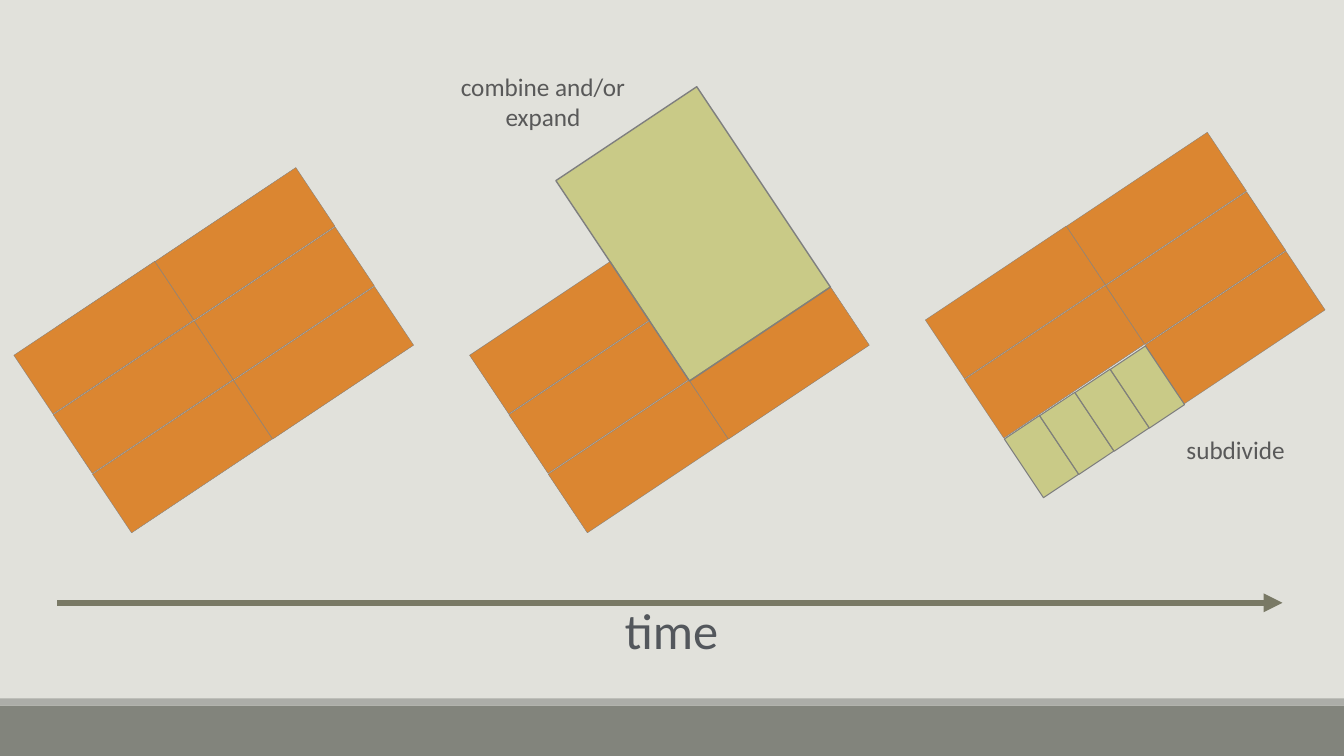
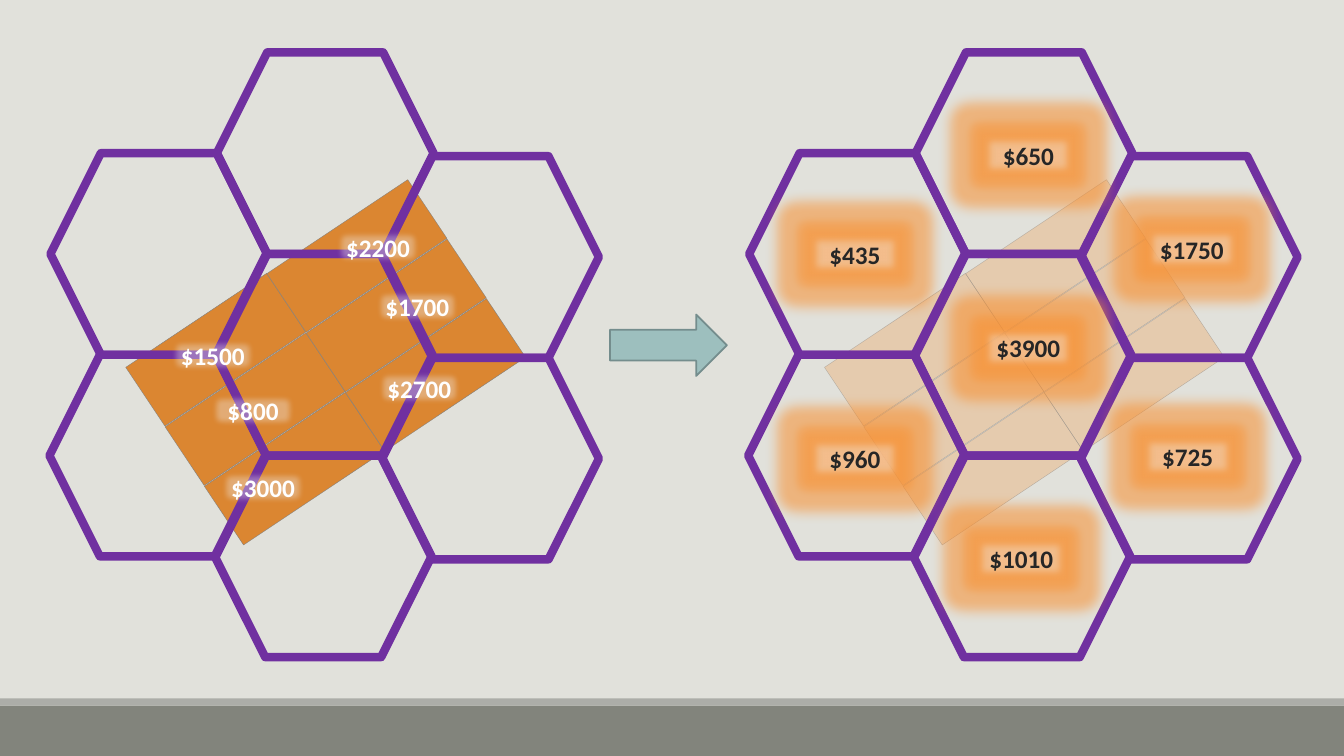
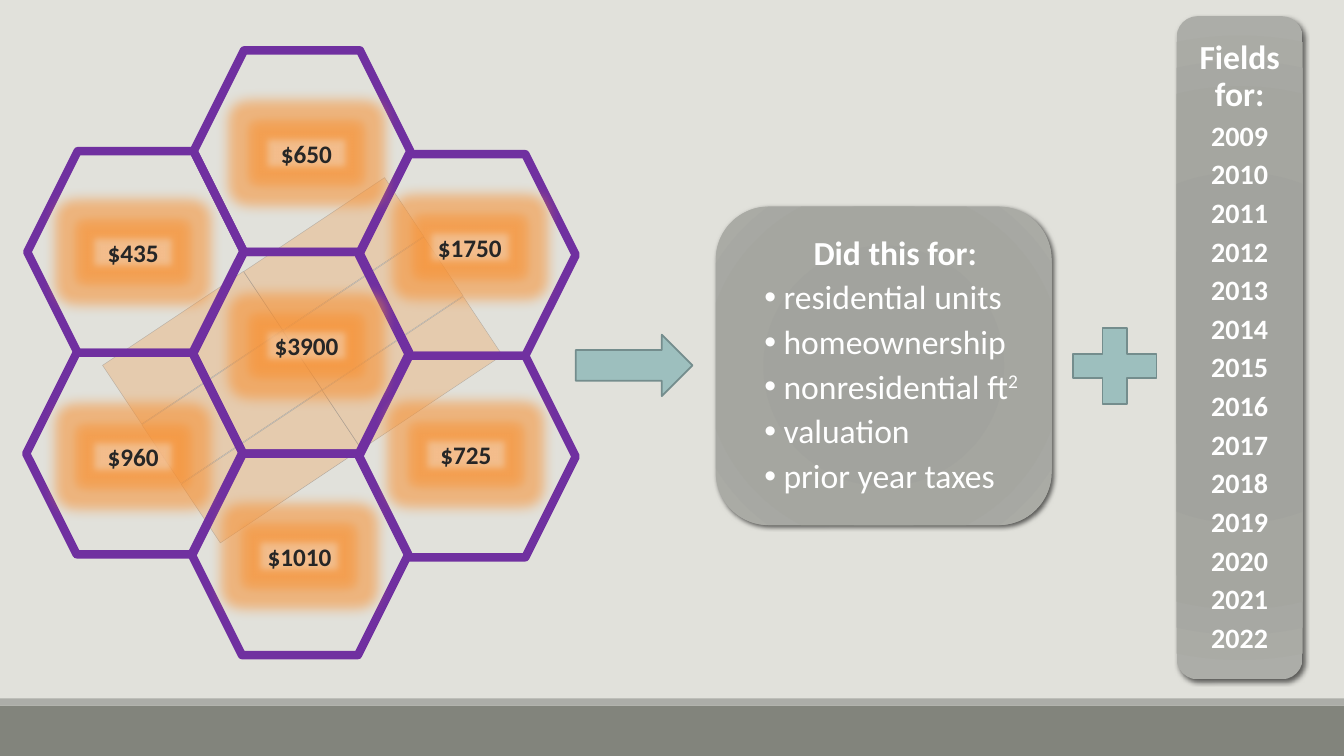
import pptx
import pptx.util
import pptx.dml.color
import pptx.enum.shapes
import pptx.enum.text
import pptx.oxml
import pptx.oxml.ns

Inches, Pt = pptx.util.Inches, pptx.util.Pt
SHAPE = pptx.enum.shapes.MSO_SHAPE
ALIGN = pptx.enum.text.PP_ALIGN
MIDDLE = pptx.enum.text.MSO_ANCHOR.MIDDLE
qn = pptx.oxml.ns.qn

FONT = "Calibri"
COLORS = {
    "background": "E1E1DB", "band": "82847C", "stripe": "ACADA8",
    "parcel": "DB8631", "parcel_line": "808080", "pale": "E9B683",
    "green": "B3B435", "edge": "7F7F7F", "hexagon": "7030A0",
    "label": "F2F2F2", "glow": "F99030", "teal": "9DBFBE", "teal_line": "748D8D",
    "axis": "797965", "time": "53575C", "caption": "595959",
    "white": "FFFFFF", "dark": "262626",
}

# Parcels: two columns (0 left, 1 right) of three rows, all turned alike
TURN = 56.3
PARCEL_W, PARCEL_H = 0.7, 1.68
ROW_STEP = (0.39, 0.59)
COLUMN_STEP = (1.4, -0.93)
ALL_PARCELS = [(col, row) for col in range(2) for row in range(3)]
TIMELINE = [
    ((0.68, 2.51), []),
    ((5.2, 2.51), [(1, 0), (1, 1)]),
    ((9.72, 2.16), [(0, 2)]),
]
MERGED_LOT = (5.68, 1.48, 2.39, PARCEL_H)
SMALL_LOT, LOT_STEP, LOT_COUNT = (9.98, 4.32, PARCEL_W, 0.42), (0.35, -0.23), 4
CAPTIONS = [
    ((5.7, 5.89, 1.92, 0.71), ["time"], 36, "time"),
    ((4.43, 0.66, 1.91, 0.71), ["combine and/or", "expand"], 18, "caption"),
    ((11.66, 4.26, 1.19, 0.4), ["subdivide"], 18, "caption"),
]

# Offsets from the top left corner of a honeycomb
HEXAGONS = [(0.01, 1), (1.65, 2), (1.64, 4), (3.3, 1.03), (3.3, 3.03), (1.66, 0), (0, 3)]
PARCELS_OFFSET = (1.3, 2.11)
PARCEL_VALUES = [
    ("$2700", 3.22, 3.13), ("$800", 1.57, 3.35), ("$1500", 1.17, 2.81),
    ("$3000", 1.67, 4.12), ("$2200", 2.81, 1.73), ("$1700", 3.2, 2.32),
]
HEXAGON_VALUES = [
    ("$1010", 2.26, 4.82), ("$960", 0.61, 3.83), ("$1750", 3.95, 1.75),
    ("$725", 3.91, 3.81), ("$3900", 2.33, 2.73), ("$435", 0.61, 1.8),
    ("$650", 2.33, 0.82),
]

MEASURES = [
    [("residential units", False)], [("homeownership", False)],
    [("nonresidential ft", False), ("2", True)],
    [("valuation", False)], [("prior year taxes", False)],
]
YEARS = range(2009, 2023)
PANEL_STOPS = [(0, "A1A29C"), (34, "A2A39E"), (70, "A5A6A0"), (100, "ACADA8")]


def rgb(name):
    return pptx.dml.color.RGBColor.from_string(COLORS[name])


def xml(text):
    """Parse one DrawingML element written without its namespace declaration."""
    head, sep, rest = text.partition(">")
    slash = "/" if head.endswith("/") else ""
    return pptx.oxml.parse_xml(f"{head.rstrip('/')} {pptx.oxml.ns.nsdecls('a')}{slash}{sep}{rest}")


def fade(holder, percent):
    """Set the opacity of the solid fill held by a shape's or line's properties."""
    color = holder.find(qn("a:solidFill")).find(qn("a:srgbClr"))
    color.append(xml(f'<a:alpha val="{percent * 1000}"/>'))


def add_shape(shapes, kind, box, fill=None, line=None, width=1, alpha=None, line_alpha=None, turn=0):
    sp = shapes.add_shape(kind, *map(Inches, box))
    sp.shadow.inherit = False
    sp.rotation = turn
    spPr = sp._element.spPr
    if fill:
        sp.fill.solid()
        sp.fill.fore_color.rgb = rgb(fill)
        if alpha:
            fade(spPr, alpha)
    else:
        sp.fill.background()
    if line:
        sp.line.color.rgb = rgb(line)
        sp.line.width = Pt(width)
        if line_alpha:
            fade(spPr.find(qn("a:ln")), line_alpha)
    else:
        sp.line.fill.background()
    return sp


def add_effects(sp, *effects):
    effect_list = sp._element.spPr.find(qn("a:effectLst"))
    for effect in effects:
        effect_list.append(xml(effect))


def add_run(p, text, size, color, bold=False, superscript=False):
    r = p.add_run()
    r.text = text
    r.font.name = FONT
    r.font.size = Pt(size)
    r.font.bold = bold
    r.font.color.rgb = rgb(color)
    if superscript:
        r._r.get_or_add_rPr().set("baseline", "30000")


def next_paragraph(tf, align=ALIGN.CENTER):
    p = tf.paragraphs[0] if not tf.paragraphs[0].runs else tf.add_paragraph()
    p.alignment = align
    return p


def add_caption(s, box, lines, size, color):
    tf = s.shapes.add_textbox(*map(Inches, box)).text_frame
    tf.word_wrap = False
    for line in lines:
        add_run(next_paragraph(tf), line, size, color)


def add_parcels(shapes, left, top, skip=(), pale=False):
    look = (dict(fill="pale", line="edge", alpha=50, line_alpha=50) if pale
            else dict(fill="parcel", line="parcel_line"))
    for col, row in ALL_PARCELS:
        if (col, row) not in skip:
            x = left + col * COLUMN_STEP[0] + row * ROW_STEP[0]
            y = top + col * COLUMN_STEP[1] + row * ROW_STEP[1]
            add_shape(shapes, SHAPE.RECTANGLE, (x, y, PARCEL_W, PARCEL_H),
                      width=0.25, turn=TURN, **look)


def add_honeycomb(s, left, top, values, summed):
    """Hexagons over a parcel block; summed ones carry glowing totals."""
    shapes = s.shapes.add_group_shape().shapes
    add_parcels(shapes, left + PARCELS_OFFSET[0], top + PARCELS_OFFSET[1], pale=summed)
    for x, y in HEXAGONS:
        add_shape(shapes, SHAPE.HEXAGON, (left + x, top + y, 2.15, 2), line="hexagon", width=6)
    glow = (f'<a:glow rad="{Pt(18)}"><a:srgbClr val="{COLORS["glow"]}">'
            '<a:alpha val="55000"/></a:srgbClr></a:glow>')
    soft_edge = f'<a:softEdge rad="{Pt(5)}"/>'
    for text, x, y in values:
        sp = add_shape(shapes, SHAPE.RECTANGLE, (left + x, top + y, 0.9, 0.4), "label", alpha=36)
        add_effects(sp, *([glow] if summed else []), soft_edge)
        tf = sp.text_frame
        tf.word_wrap = False
        tf.vertical_anchor = MIDDLE
        add_run(next_paragraph(tf), text, 18, "dark" if summed else "white", bold=True)


def add_teal(s, kind, box):
    add_shape(s.shapes, kind, box, "teal", "teal_line", 1.25)


def add_panel(s, box):
    """Grey rounded panel with a round gradient and a shadow; gives its text frame."""
    sp = add_shape(s.shapes, SHAPE.ROUNDED_RECTANGLE, box, "stripe")
    stops = "".join(f'<a:gs pos="{pos * 1000}"><a:srgbClr val="{color}"/></a:gs>'
                    for pos, color in PANEL_STOPS)
    spPr = sp._element.spPr
    spPr.replace(spPr.find(qn("a:solidFill")), xml(
        f'<a:gradFill><a:gsLst>{stops}</a:gsLst><a:path path="circle">'
        '<a:fillToRect l="100000" t="100000" r="100000" b="100000"/></a:path></a:gradFill>'))
    add_effects(sp, f'<a:outerShdw blurRad="{Pt(3.5)}" dist="{Pt(2)}" dir="2700000">'
                    '<a:srgbClr val="000000"><a:alpha val="60000"/></a:srgbClr></a:outerShdw>')
    tf = sp.text_frame
    tf.word_wrap = True
    tf.vertical_anchor = MIDDLE
    return tf


def panel_paragraph(tf, runs, size=24, bold=False, indent=0, bullet=False):
    p = next_paragraph(tf, ALIGN.LEFT if bullet else ALIGN.CENTER)
    pPr = p._p.get_or_add_pPr()
    pPr.set("marL", str(Inches(indent)))
    if bullet:
        pPr.set("indent", str(Inches(-0.19)))
        pPr.append(xml('<a:buFont typeface="Arial"/>'))
        pPr.append(xml('<a:buChar char="•"/>'))
    p.line_spacing = 0.9
    p.space_before = Pt(2 if len(tf.paragraphs) > 1 else 0)
    p.space_after = Pt(4)
    for text, superscript in runs:
        add_run(p, text, size, "white", bold, superscript)


def new_slide(prs):
    s = prs.slides.add_slide(prs.slide_layouts[6])
    add_shape(s.shapes, SHAPE.RECTANGLE, (0, 7, 13.33, 0.5), "band")
    add_shape(s.shapes, SHAPE.RECTANGLE, (0, 6.93, 13.33, 0.07), "stripe")
    return s


def build_timeline(s):
    groups = [s.shapes.add_group_shape().shapes for _ in TIMELINE]
    for shapes, ((left, top), skip) in zip(groups, TIMELINE):
        add_parcels(shapes, left, top, skip)
    add_shape(groups[1], SHAPE.RECTANGLE, MERGED_LOT, "green", "edge", 1, alpha=50, turn=TURN)
    x, y, w, h = SMALL_LOT
    for i in range(LOT_COUNT):
        box = (x + i * LOT_STEP[0], y + i * LOT_STEP[1], w, h)
        add_shape(groups[2], SHAPE.RECTANGLE, box, "green", "edge", 0.75, alpha=50, turn=TURN)
    axis = s.shapes.add_connector(pptx.enum.shapes.MSO_CONNECTOR.STRAIGHT,
                                  *map(Inches, (0.57, 5.98, 12.72, 5.98)))
    axis.line.color.rgb = rgb("axis")
    axis.line.width = Pt(4.5)
    spPr = axis._element.spPr
    spPr.find(qn("a:ln")).append(xml('<a:tailEnd type="triangle"/>'))
    spPr.append(xml("<a:effectLst/>"))
    for caption in CAPTIONS:
        add_caption(s, *caption)


def build_comparison(s):
    add_honeycomb(s, 0.49, 0.52, PARCEL_VALUES, summed=False)
    add_teal(s, SHAPE.RIGHT_ARROW, (6.05, 3.12, 1.16, 0.61))
    add_honeycomb(s, 7.42, 0.52, HEXAGON_VALUES, summed=True)


def build_summary(s):
    add_honeycomb(s, 0.26, 0.5, HEXAGON_VALUES, summed=True)
    add_teal(s, SHAPE.RIGHT_ARROW, (5.71, 3.32, 1.16, 0.61))
    tf = add_panel(s, (7.1, 2.05, 3.33, 3.16))
    panel_paragraph(tf, [("Did this for:", False)], bold=True, indent=0.23)
    for runs in MEASURES:
        panel_paragraph(tf, runs, indent=0.42, bullet=True)
    tf = add_panel(s, (11.67, 0.16, 1.25, 6.58))
    panel_paragraph(tf, [("Fields for:", False)], bold=True)
    for year in YEARS:
        panel_paragraph(tf, [(str(year), False)], size=20, bold=True)
    add_teal(s, SHAPE.MATH_PLUS, (10.49, 3.12, 1.13, 1.02))


def main():
    prs = pptx.Presentation()
    prs.slide_width, prs.slide_height = Inches(13.33), Inches(7.5)
    fill = prs.slide_master.background.fill
    fill.solid()
    fill.fore_color.rgb = rgb("background")
    for build in (build_timeline, build_comparison, build_summary):
        build(new_slide(prs))
    prs.save("out.pptx")


if __name__ == "__main__":
    main()
